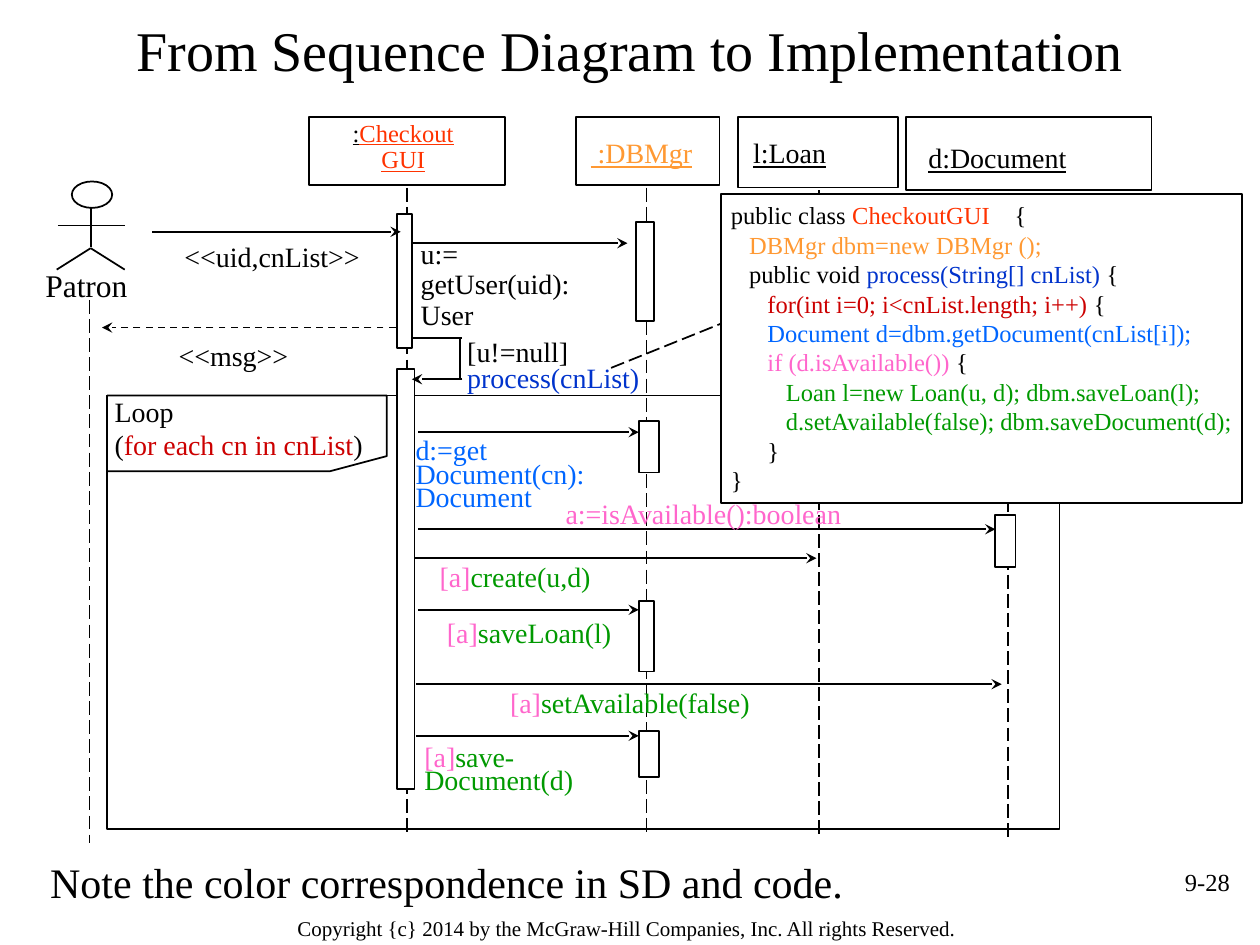
from lxml.etree import SubElement
from pptx import Presentation
from pptx.dml.color import RGBColor
from pptx.enum.dml import MSO_LINE
from pptx.enum.shapes import MSO_CONNECTOR, MSO_SHAPE
from pptx.enum.text import MSO_ANCHOR, PP_ALIGN
from pptx.oxml.ns import qn
from pptx.util import Inches, Pt

FONT = "Times New Roman"
COLORS = {
    "black": "000000", "white": "FFFFFF", "gui": "FF3300", "manager": "FF9933",
    "process": "0033CC", "loop": "CC0000", "fetch": "0066FF",
    "check": "FF66CC", "update": "009900",
}
LEFT, CENTER, RIGHT = PP_ALIGN.LEFT, PP_ALIGN.CENTER, PP_ALIGN.RIGHT
LONG_DASH, DASH = MSO_LINE.LONG_DASH, MSO_LINE.DASH

TITLE = "From Sequence Diagram to Implementation"

# Participant boxes: left, top, width, height
HEADS = [(2.45, 0.93, 1.56, 0.54), (4.57, 0.93, 1.14, 0.54),
         (5.86, 0.93, 1.27, 0.56), (7.19, 0.93, 1.95, 0.58)]
# Lifelines: x, top, bottom
LIFELINES = [(0.71, 2.38, 6.69), (3.23, 1.49, 6.63), (5.13, 1.49, 6.63),
             (6.5, 1.51, 6.65), (8, 1.53, 6.68)]
# Activation bars: left, top, width, height
ACTIVATIONS = [(3.15, 1.7, 0.12, 1.06), (3.15, 2.93, 0.14, 3.33),
               (5.05, 1.76, 0.14, 0.79), (5.07, 3.34, 0.16, 0.41),
               (5.07, 4.77, 0.12, 0.56), (5.07, 5.8, 0.16, 0.37),
               (7.9, 4.09, 0.16, 0.41)]
# Messages: start x, end x, y, dash
MESSAGES = [(1.21, 3.18, 1.84, None), (3.28, 4.98, 1.93, None),
            (3.14, 0.81, 2.6, DASH), (3.67, 3.27, 3.01, None),
            (3.32, 5.07, 3.43, None), (3.32, 7.9, 4.2, None),
            (3.29, 6.48, 4.43, None), (3.32, 5.07, 4.84, None),
            (3.3, 7.95, 5.43, None), (3.3, 5.07, 5.84, None)]
# Plain strokes: the actor's body, arms and legs, then the self-call
STROKES = [(0.72, 1.65, 0.72, 1.96), (0.46, 1.79, 0.99, 1.79),
           (0.72, 1.97, 0.99, 2.14), (0.72, 1.97, 0.45, 2.14),
           (3.26, 2.68, 3.67, 2.68), (3.65, 2.68, 3.65, 3.01)]
LOOP_FRAME = (0.85, 3.14, 7.56, 3.44)
LOOP_TAB = [(2.62, 3.74), (0.85, 3.74), (0.85, 3.14), (3.07, 3.14), (3.07, 3.62)]

# Names: box, alignment, line spacing, lines of (text, colour)
NAMES = [
    ((2.6, 0.91, 1.2, 0.52), CENTER, 0.9,
     [[(":", "black"), ("Checkout", "gui")], [("GUI", "gui")]]),
    ((4.59, 1.03, 1.1, 0.37), LEFT, 1, [[(" :DBMgr", "manager")]]),
    ((5.88, 1.03, 1, 0.37), LEFT, 1, [[("l:Loan", "black")]]),
    ((7.27, 1.07, 1.5, 0.37), LEFT, 1, [[("d:Document", "black")]]),
]
GUARD = ("[a]", "check")
LABELS = [
    ((1.1, 1.85, 2.12, 0.37), CENTER, 1, [[("<<uid,cnList>>", "black")]]),
    ((1.32, 2.64, 1.3, 0.37), LEFT, 1, [[("<<msg>>", "black")]]),
    ((3.24, 1.86, 2.05, 0.82), LEFT, 0.9,
     [[("u:=", "black")], [("getUser(uid):", "black")], [("User", "black")]]),
    ((3.2, 3.46, 1.7, 0.66), LEFT, 0.7,
     [[("d:=get", "fetch")], [("Document(cn):", "fetch")], [("Document", "fetch")]]),
    ((4.39, 3.89, 2.6, 0.37), LEFT, 1, [[("a:=isAvailable():boolean", "check")]]),
    ((3.39, 4.39, 1.6, 0.37), LEFT, 1, [[GUARD, ("create(u,d)", "update")]]),
    ((3.13, 4.91, 2.14, 0.29), CENTER, 0.7, [[GUARD, ("saveLoan(l)", "update")]]),
    ((3.95, 5.39, 2.3, 0.37), LEFT, 1, [[GUARD, ("setAvailable(false)", "update")]]),
    ((3.27, 5.89, 1.6, 0.47), LEFT, 0.7,
     [[GUARD, ("save-", "update")], [("Document(d)", "update")]]),
]
SELF_CALL = [[("[u!=null]", "black")], [("process(cnList)", "process")]]
LOOP_TEXT = [[("Loop", "black")],
             [("(", "black"), ("for each cn in cnList", "loop"), (")", "black")]]
CODE = [
    [("public class ", "black"), ("CheckoutGUI", "gui"), ("    {", "black")],
    [("   DBMgr dbm=new DBMgr ();", "manager")],
    [("   public void ", "black"), ("process(String[] cnList)", "process"), (" {", "black")],
    [("      for(int i=0; i<cnList.length; i++)", "loop"), (" {", "black")],
    [("      Document d=dbm.getDocument(cnList[i]);", "fetch")],
    [("      if (d.isAvailable())", "check"), (" {", "black")],
    [("         Loan l=new Loan(u, d); dbm.saveLoan(l);", "update")],
    [("         d.setAvailable(false); dbm.saveDocument(d);", "update")],
    [("      }", "black")],
    [("}", "black")],
]

prs = Presentation()
prs.slide_width, prs.slide_height = Inches(10), Inches(7.5)
slide = prs.slides.add_slide(prs.slide_layouts[5])
shapes = slide.shapes


def rgb(name):
    return RGBColor.from_string(COLORS[name])


def style_font(font, size, color="black", underline=None):
    font.name, font.size, font.underline = FONT, Pt(size), underline
    font.color.rgb = rgb(color)


def outline(shape, fill=None):
    shape.shadow.inherit = False
    if fill:
        shape.fill.solid()
        shape.fill.fore_color.rgb = rgb(fill)
    else:
        shape.fill.background()
    shape.line.color.rgb = rgb("black")
    shape.line.width = Pt(1)


def add_box(box, fill=None, kind=MSO_SHAPE.RECTANGLE):
    outline(shapes.add_shape(kind, *map(Inches, box)), fill)


def add_line(x1, y1, x2, y2, dash=None, arrow=False):
    line = shapes.add_connector(MSO_CONNECTOR.STRAIGHT, *map(Inches, (x1, y1, x2, y2)))
    line.line.color.rgb = rgb("black")
    line.line.width = Pt(1)
    if dash:
        line.line.dash_style = dash
    if arrow:
        SubElement(line.line._get_or_add_ln(), qn("a:tailEnd"), type="stealth")
    SubElement(line._element.spPr, qn("a:effectLst"))


def add_text(box, lines, size=16, align=LEFT, spacings=(1,), inset=True, underline=None):
    frame = shapes.add_textbox(*map(Inches, box)).text_frame
    frame.word_wrap = True
    if not inset:
        frame.margin_left = frame.margin_right = frame.margin_top = frame.margin_bottom = 0
    for i, line in enumerate(lines):
        paragraph = frame.paragraphs[0] if i == 0 else frame.add_paragraph()
        paragraph.alignment = align
        paragraph.line_spacing = spacings[min(i, len(spacings) - 1)]
        for words, color in line:
            run = paragraph.add_run()
            run.text = words
            style_font(run.font, size, color, underline)


# Title
title = shapes.title
title.left, title.top, title.width, title.height = map(Inches, (0.5, 0, 9, 0.78))
title.text_frame.text = TITLE
title.text_frame.vertical_anchor = MSO_ANCHOR.MIDDLE
heading = title.text_frame.paragraphs[0]
heading.alignment = CENTER
style_font(heading.runs[0].font, 32)

# Participants and lifelines
add_box((0.57, 1.44, 0.32, 0.21), kind=MSO_SHAPE.OVAL)
for stroke in STROKES:
    add_line(*stroke)
add_text((0.36, 2.11, 0.8, 0.3), [[("Patron", "black")]], 18, inset=False)
for head in HEADS:
    add_box(head)
for box, align, spacing, lines in NAMES:
    size = 14 if len(lines) > 1 else 16
    add_text(box, lines, size, align, (spacing,), underline=True)
for x, top, bottom in LIFELINES:
    add_line(x, top, x, bottom, LONG_DASH)

# Loop frame with its cut-corner tab
add_box(LOOP_FRAME)
tab = shapes.build_freeform(*map(Inches, LOOP_TAB[0]), scale=1.0)
tab.add_line_segments([(Inches(x), Inches(y)) for x, y in LOOP_TAB[1:]], close=True)
outline(tab.convert_to_shape())
add_text((0.91, 3.13, 2.34, 0.53), LOOP_TEXT, inset=False)

# Activations and messages
for bar in ACTIVATIONS:
    add_box(bar, "white")
for start, end, y, dash in MESSAGES:
    add_line(start, y, end, y, dash, arrow=True)
for box, align, spacing, lines in LABELS:
    add_text(box, lines, 16, align, (spacing,))
add_text((3.61, 2.61, 2.29, 0.57), SELF_CALL, spacings=(1, 0.75))

# Code panel and its callout line
add_box((5.72, 1.54, 4.14, 2.45), "white")
add_text((5.8, 1.59, 4.06, 2.34), CODE, 14, inset=False)
add_line(4.85, 2.92, 5.72, 2.57, LONG_DASH)

# Note, page number and copyright
add_text((0.3, 6.75, 6.8, 0.5), [[("Note the color correspondence in SD and code.", "black")]], 24)
add_text((7.53, 6.83, 2.33, 0.52), [[("9-28", "black")]], 14, RIGHT)
add_text((1.88, 7.22, 6.19, 0.31),
         [[("Copyright {c} 2014 by the McGraw-Hill Companies, Inc. All rights Reserved.", "black")]],
         12, CENTER)

prs.save("out.pptx")
